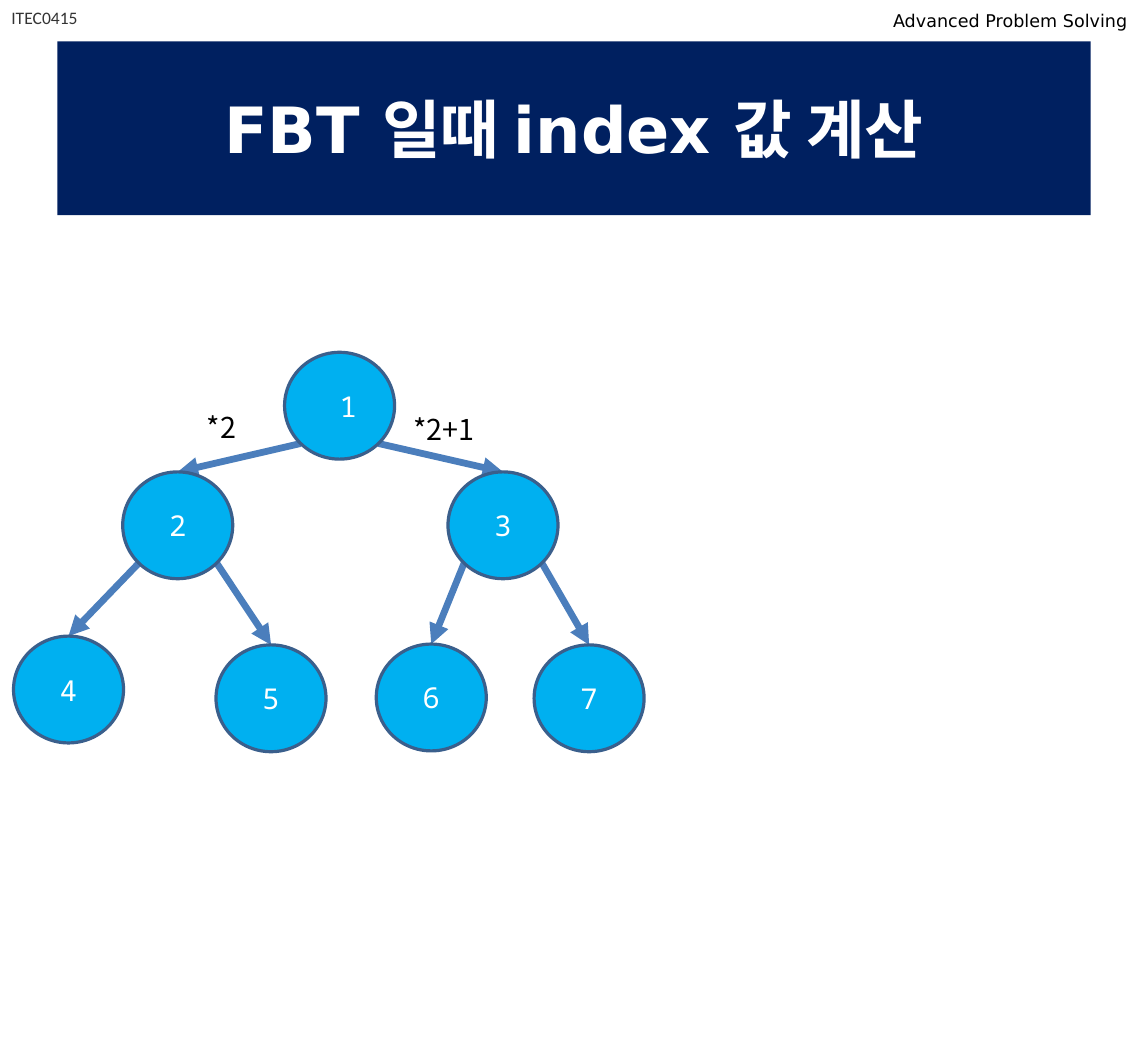
from math import sqrt

from lxml.etree import SubElement
from pptx import Presentation
from pptx.dml.color import RGBColor
from pptx.enum.shapes import MSO_CONNECTOR as Connector, MSO_SHAPE as Shape
from pptx.enum.text import MSO_ANCHOR as Anchor, PP_ALIGN as Align
from pptx.oxml.ns import qn
from pptx.util import Pt

NAVY = RGBColor(0x00, 0x20, 0x60)
SKY = RGBColor(0x00, 0xB0, 0xF0)
OUTLINE = RGBColor(0x3A, 0x5F, 0x8C)
ARROW = RGBColor(0x4B, 0x7E, 0xBC)
GRAY = RGBColor(0x33, 0x33, 0x33)
BLACK = RGBColor(0, 0, 0)
WHITE = RGBColor(0xFF, 0xFF, 0xFF)

KOREAN_FONT = "Noto Sans CJK KR"
NODE_WIDTH, NODE_HEIGHT = 69, 67

# Left and top of each tree node, by its index
NODES = {
    1: (178.5, 221),
    2: (77, 296), 3: (281, 296),
    4: (8.5, 399), 5: (135.5, 404.5), 6: (236, 404), 7: (335, 404.5),
}


def format_text(text_frame, size, font_name, color, align=None, bold=False):
    for paragraph in text_frame.paragraphs:
        paragraph.alignment = align
        for run in paragraph.runs:
            font = run.font
            font.size, font.name, font.bold = Pt(size), font_name, bold
            font.color.rgb = color
            east_asian = SubElement(run._r.get_or_add_rPr(), qn("a:ea"))
            east_asian.set("typeface", KOREAN_FONT)


def add_title(slide, text):
    title = slide.shapes.title
    title.left, title.top, title.width, title.height = Pt(36), Pt(26), Pt(648), Pt(109)
    title.fill.solid()
    title.fill.fore_color.rgb = NAVY
    title.text_frame.text = text
    title.text_frame.vertical_anchor = Anchor.MIDDLE
    format_text(title.text_frame, 40, "DejaVu Sans", WHITE, Align.CENTER, bold=True)


def add_label(slide, text, left, top, width, height, size, font_name, color, wrap=True):
    box = slide.shapes.add_textbox(Pt(left), Pt(top), Pt(width), Pt(height))
    box.text_frame.word_wrap = wrap
    box.text_frame.text = text
    format_text(box.text_frame, size, font_name, color)


def add_node(slide, text, left, top):
    node = slide.shapes.add_shape(Shape.OVAL, Pt(left), Pt(top), Pt(NODE_WIDTH), Pt(NODE_HEIGHT))
    node.shadow.inherit = False
    node.fill.solid()
    node.fill.fore_color.rgb = SKY
    node.line.color.rgb = OUTLINE
    node.line.width = Pt(2)
    node.text_frame.text = text
    node.text_frame.vertical_anchor = Anchor.MIDDLE
    format_text(node.text_frame, 18, "Noto Sans Mono", WHITE, Align.CENTER)


def add_edge(slide, parent, child):
    """Arrow from the parent's lower left or right to the child's top."""
    side = 1 if child % 2 else -1
    parent_left, parent_top = NODES[parent]
    child_left, child_top = NODES[child]
    start_x = parent_left + NODE_WIDTH / 2 * (1 + side / sqrt(2))
    start_y = parent_top + NODE_HEIGHT / 2 * (1 + 1 / sqrt(2))
    edge = slide.shapes.add_connector(
        Connector.STRAIGHT, Pt(start_x), Pt(start_y),
        Pt(child_left + NODE_WIDTH / 2), Pt(child_top))
    edge.line.color.rgb = ARROW
    edge.line.width = Pt(4.25)
    SubElement(edge.line._get_or_add_ln(), qn("a:tailEnd")).set("type", "triangle")
    SubElement(edge._element.spPr, qn("a:effectLst"))


def main():
    presentation = Presentation()
    presentation.slide_width, presentation.slide_height = Pt(720), Pt(652.32)
    slide = presentation.slides.add_slide(presentation.slide_layouts[5])

    # Title and header
    add_title(slide, "FBT 일때 index 값 계산")
    add_label(slide, "ITEC0415", 0, 1, 57, 21, 11, "Calibri", GRAY, wrap=False)
    add_label(slide, "Advanced Problem Solving", 553, 3, 167, 21, 11, "DejaVu Sans", BLACK)

    # Tree: the children of n are 2n and 2n+1
    for child in range(2, len(NODES) + 1):
        add_edge(slide, child // 2, child)
    for index, (left, top) in NODES.items():
        add_node(slide, " 1" if index == 1 else str(index), left, top)

    # Index rules on the two top edges
    add_label(slide, "*2", 122.5, 253.5, 57, 29, 18, KOREAN_FONT, BLACK)
    add_label(slide, "*2+1", 252, 255, 57, 29, 18, KOREAN_FONT, BLACK)

    presentation.save("out.pptx")


if __name__ == "__main__":
    main()
